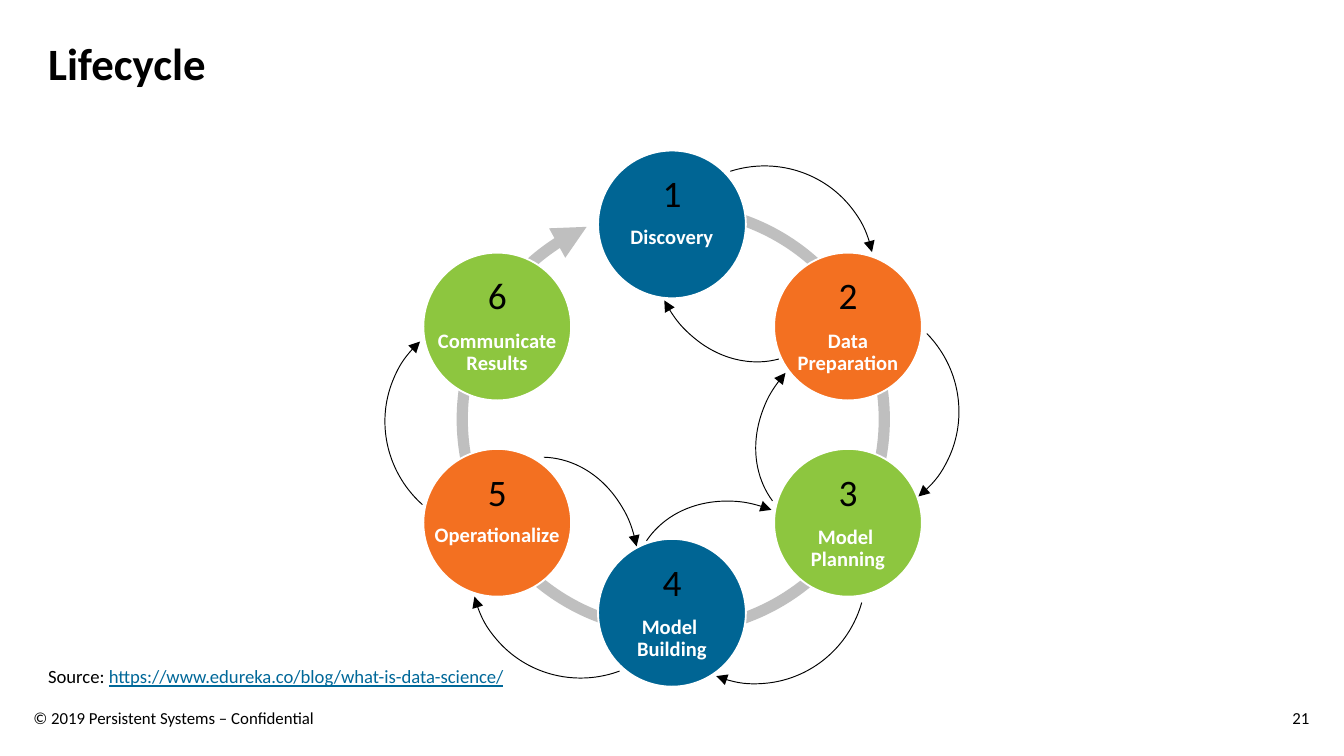
from dataclasses import dataclass

from lxml.etree import SubElement
from pptx import Presentation
from pptx.dml.color import RGBColor
from pptx.enum.shapes import MSO_SHAPE as Shape
from pptx.enum.text import MSO_ANCHOR as Anchor, PP_ALIGN as Align
from pptx.oxml.ns import qn
from pptx.util import Inches, Pt


@dataclass(frozen=True)
class Theme:
    font: str = "Calibri"
    black: str = "000000"
    white: str = "FFFFFF"
    link: str = "006899"
    ring: str = "BFBFBF"
    blue: str = "006594"
    orange: str = "F37021"
    green: str = "8DC63F"
    title_size: float = 24
    number_size: float = 20
    stage_size: float = 11
    source_size: float = 10
    footer_size: float = 9
    ring_width: float = 6
    arrow_width: float = 0.5


THEME = Theme()
SLIDE_WIDTH = 10
SLIDE_HEIGHT = SLIDE_WIDTH * 9 / 16
DIAMETER = 1.1
NUMBER_WIDTH, NUMBER_HEIGHT, NUMBER_DROP = 0.41, 0.31, 0.16
LEFT, MIDDLE, RIGHT = 3.7, 5, 6.31
UPPER, LOWER = 2.43, 3.89

STAGES = [
    ("Discovery", MIDDLE, 1.67, THEME.blue),
    ("Data\vPreparation", RIGHT, UPPER, THEME.orange),
    ("Model \vPlanning", RIGHT, LOWER, THEME.green),
    ("Model \vBuilding", MIDDLE, 4.56, THEME.blue),
    ("Operationalize", LEFT, LOWER, THEME.orange),
    ("Communicate\vResults", LEFT, UPPER, THEME.green),
]

INNER_SIZE, INNER_SWEEP = (1.61, 1.39), (164.67, 212.1)
INNER_ARROWS = [
    (4.75, 1.21, 246.1),
    (5.57, 2.53, 314.8),
    (4.69, 3.75, 25.1),
    (3.25, 3.51, 82.9),
]
OUTER_SIZE, OUTER_SWEEP = (1.61, 1.64), (164.67, 6.65)
OUTER_ARROWS = [
    (4.88, 1.22, 82.9),
    (5.52, 2.23, 146.2),
    (4.83, 3.45, 206.4),
    (3.52, 3.42, 260.4),
    (2.87, 2.33, 322.4),
]


def style_font(font, size, color, bold=False):
    font.name = THEME.font
    font.size = Pt(size)
    font.bold = bold
    font.color.rgb = RGBColor.from_string(color)


def add_label(shapes, box, text, size, align=Align.LEFT, anchor=Anchor.MIDDLE, bold=False):
    label = shapes.add_textbox(*map(Inches, box))
    frame = label.text_frame
    frame.word_wrap = True
    frame.vertical_anchor = anchor
    frame.text = text
    paragraph = frame.paragraphs[0]
    paragraph.alignment = align
    for run in paragraph.runs:
        style_font(run.font, size, THEME.black, bold)
    return paragraph


def add_arc(shapes, box, sweep, color, width, arrow_end, rotation=0, mirrored=False):
    arc = shapes.add_shape(Shape.ARC, *map(Inches, box))
    arc.adjustments[0], arc.adjustments[1] = sweep
    arc.rotation = rotation
    arc.shadow.inherit = False
    arc.fill.background()
    arc.line.color.rgb = RGBColor.from_string(color)
    arc.line.width = Pt(width)
    properties = arc._element.spPr
    if mirrored:
        properties.find(qn("a:xfrm")).set("flipH", "1")
    SubElement(properties.find(qn("a:ln")), qn(f"a:{arrow_end}"), type="triangle")


def add_stage(shapes, number, name, center_x, center_y, color):
    left, top = center_x - DIAMETER / 2, center_y - DIAMETER / 2
    circle = shapes.add_shape(Shape.OVAL, *map(Inches, (left, top, DIAMETER, DIAMETER)))
    circle.shadow.inherit = False
    circle.fill.solid()
    circle.fill.fore_color.rgb = RGBColor.from_string(color)
    circle.line.color.rgb = RGBColor.from_string(THEME.white)
    circle.line.width = Pt(1)

    frame = circle.text_frame
    frame.word_wrap = False
    frame.vertical_anchor = Anchor.MIDDLE
    frame.margin_left = frame.margin_right = frame.margin_bottom = 0
    frame.margin_top = Inches(0.39 if "\v" in name else 0.2)
    frame.text = name
    paragraph = frame.paragraphs[0]
    paragraph.alignment = Align.CENTER
    paragraph.line_spacing = 0.9
    paragraph.space_after = Pt(2)
    for run in paragraph.runs:
        style_font(run.font, THEME.stage_size, THEME.white, bold=True)

    number_box = (center_x - NUMBER_WIDTH / 2, top + NUMBER_DROP, NUMBER_WIDTH, NUMBER_HEIGHT)
    add_label(shapes, number_box, str(number), THEME.number_size, Align.CENTER)


def add_arrows(shapes, arrows, size, sweep):
    for left, top, rotation in arrows:
        add_arc(shapes, (left, top, *size), sweep, THEME.black, THEME.arrow_width,
                "headEnd", rotation, mirrored=True)


def add_cycle(slide):
    cycle = slide.shapes.add_group_shape().shapes
    add_arc(cycle, (3.44, 1.55, 3.14, 3.14), (162, 147.46), THEME.ring,
            THEME.ring_width, "tailEnd")
    for number, stage in enumerate(STAGES, start=1):
        add_stage(cycle, number, *stage)
    add_arrows(cycle, INNER_ARROWS, INNER_SIZE, INNER_SWEEP)
    add_arrows(cycle, OUTER_ARROWS, OUTER_SIZE, OUTER_SWEEP)


def add_source(slide):
    source = add_label(slide.shapes, (0.26, 4.9, 5.59, 0.27), "Source: ",
                       THEME.source_size, anchor=Anchor.TOP)
    address = source.add_run()
    address.text = "https://www.edureka.co/blog/what-is-data-science/"
    style_font(address.font, THEME.source_size, THEME.link)
    address.font.underline = True


def main():
    deck = Presentation()
    deck.slide_width, deck.slide_height = Inches(SLIDE_WIDTH), Inches(SLIDE_HEIGHT)
    slide = deck.slides.add_slide(deck.slide_layouts[6])

    title = add_label(slide.shapes, (0.26, 0.26, 8.69, 0.92), "Lifecycle",
                      THEME.title_size, anchor=Anchor.TOP, bold=True)
    title.line_spacing = 0.9
    add_source(slide)
    add_cycle(slide)
    add_label(slide.shapes, (0.15, 5.19, 2.96, 0.3),
              "© 2019 Persistent Systems – Confidential", THEME.footer_size)
    add_label(slide.shapes, (7.59, 5.19, 2.25, 0.3), "21", THEME.footer_size, Align.RIGHT)
    deck.save("out.pptx")


if __name__ == "__main__":
    main()
